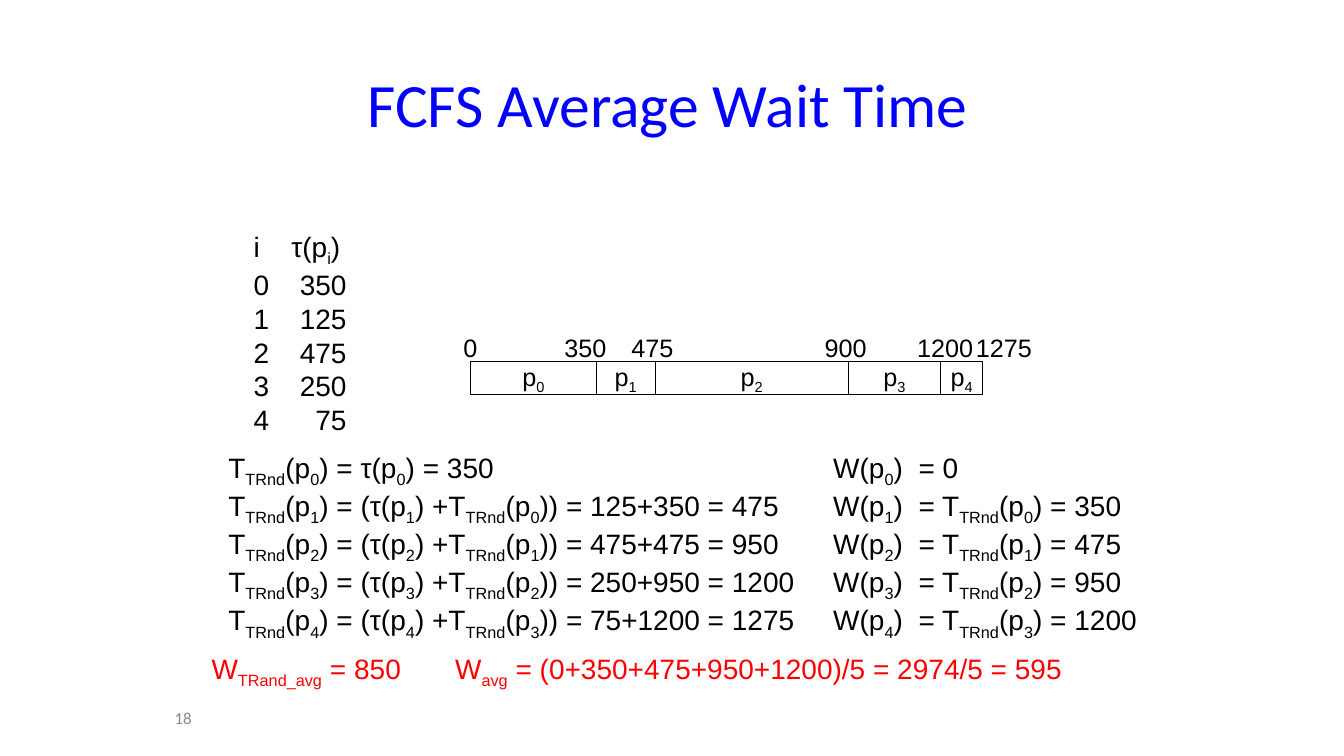
"""Build the FCFS average wait time slide."""
from itertools import accumulate

from lxml import etree
from pptx import Presentation
from pptx.dml.color import RGBColor
from pptx.enum.shapes import MSO_SHAPE
from pptx.enum.text import MSO_ANCHOR, MSO_AUTO_SIZE, PP_ALIGN
from pptx.oxml.ns import qn
from pptx.util import Pt

LEFT, CENTER, RIGHT = PP_ALIGN.LEFT, PP_ALIGN.CENTER, PP_ALIGN.RIGHT
TOP, MIDDLE = MSO_ANCHOR.TOP, MSO_ANCHOR.MIDDLE
NO_RESIZE = MSO_AUTO_SIZE.NONE
RECTANGLE = MSO_SHAPE.RECTANGLE
TITLE_ONLY = 5


def color(value):
    return RGBColor.from_string(value)


def write(box, lines, size=20, font="Arial", ink="000000", align=LEFT,
          anchor=TOP, wrap=False, tabs=()):
    """Fill a box with lines in which ~marks~ enclose subscripts."""
    frame = box.text_frame
    frame.word_wrap = wrap
    frame.auto_size = NO_RESIZE
    frame.vertical_anchor = anchor
    for index, line in enumerate(lines):
        para = frame.add_paragraph() if index else frame.paragraphs[0]
        para.alignment = align
        if tabs:
            properties = para._p.get_or_add_pPr()
            stops = etree.SubElement(properties, qn("a:tabLst"))
            kind, position = tabs[min(index, len(tabs) - 1)]
            etree.SubElement(stops, qn("a:tab"), pos=str(Pt(position)), algn=kind)
        for part, text in enumerate(line.split("~")):
            if not text:
                continue
            span = para.add_run()
            span.text = text
            span.font.name = font
            span.font.size = Pt(size)
            span.font.color.rgb = color(ink)
            if part % 2:
                span._r.get_or_add_rPr().set("baseline", "-25000")


deck = Presentation()
deck.slide_width, deck.slide_height = Pt(960), Pt(540)
page = deck.slides.add_slide(deck.slide_layouts[TITLE_ONLY])
shapes = page.shapes

title = shapes.title
title.left, title.top, title.width, title.height = Pt(174), Pt(57.6), Pt(606), Pt(32.4)
write(title, ["FCFS Average Wait Time"], size=44, font="Calibri", ink="0000FF",
      align=CENTER, anchor=MIDDLE, wrap=True)

bursts = [350, 125, 475, 250, 75]
finishes = list(accumulate(bursts))

burst_lines = ["i\tτ(p~i~)"]
turnaround_lines = ["T~TRnd~(p~0~) = τ(p~0~) = 350"]
wait_lines = ["W(p~0~)\t= 0"]
for i, burst in enumerate(bursts):
    burst_lines.append(f"{i}\t{burst}")
    if i:
        start = finishes[i - 1]
        turnaround_lines.append(
            f"T~TRnd~(p~{i}~) = (τ(p~{i}~) +T~TRnd~(p~{i - 1}~))"
            f" = {burst}+{start} = {finishes[i]}")
        wait_lines.append(f"W(p~{i}~)\t= T~TRnd~(p~{i - 1}~) = {start}")

burst_box = shapes.add_textbox(Pt(174), Pt(160.5), Pt(84), Pt(152.6))
write(burst_box, burst_lines, wrap=True, tabs=[("l", 27), ("r", 66.5)])

bar_left = 336
for i, bar_width in enumerate([90, 42, 138, 66, 30]):
    bar = shapes.add_shape(RECTANGLE, Pt(bar_left), Pt(258), Pt(bar_width), Pt(24))
    bar.shadow.inherit = False
    bar.fill.solid()
    bar.fill.fore_color.rgb = color("FFFFFF")
    bar.line.color.rgb = color("000000")
    bar.line.width = Pt(0.75)
    write(bar, [f"p~{i}~"], size=18, align=CENTER, anchor=MIDDLE)
    bar_left += bar_width

time_marks = [(324, "0"), (396, "350"), (444, "475"),
              (582, "900"), (648, "1200"), (690, "1275")]
for mark_left, mark in time_marks:
    mark_box = shapes.add_textbox(Pt(mark_left), Pt(234), Pt(14.5 + 10 * len(mark)), Pt(29))
    write(mark_box, [mark], size=18)

turnaround_box = shapes.add_textbox(Pt(156), Pt(318), Pt(433.4), Pt(128))
write(turnaround_box, turnaround_lines)
wait_box = shapes.add_textbox(Pt(588), Pt(318), Pt(245), Pt(128))
write(wait_box, wait_lines, wrap=True, tabs=[("l", 61)])

averages = [(144, 159, "W~TRand_avg~ = 850"),
            (318, 453, "W~avg~ = (0+350+475+950+1200)/5 = 2974/5 = 595")]
for average_left, average_width, average in averages:
    average_box = shapes.add_textbox(Pt(average_left), Pt(462), Pt(average_width), Pt(31.5))
    write(average_box, [average], ink="FF0000")

number_box = shapes.add_textbox(Pt(40), Pt(498), Pt(104), Pt(29))
write(number_box, ["18"], size=12, font="Calibri", ink="898989",
      align=RIGHT, anchor=MIDDLE, wrap=True)

deck.save("out.pptx")
